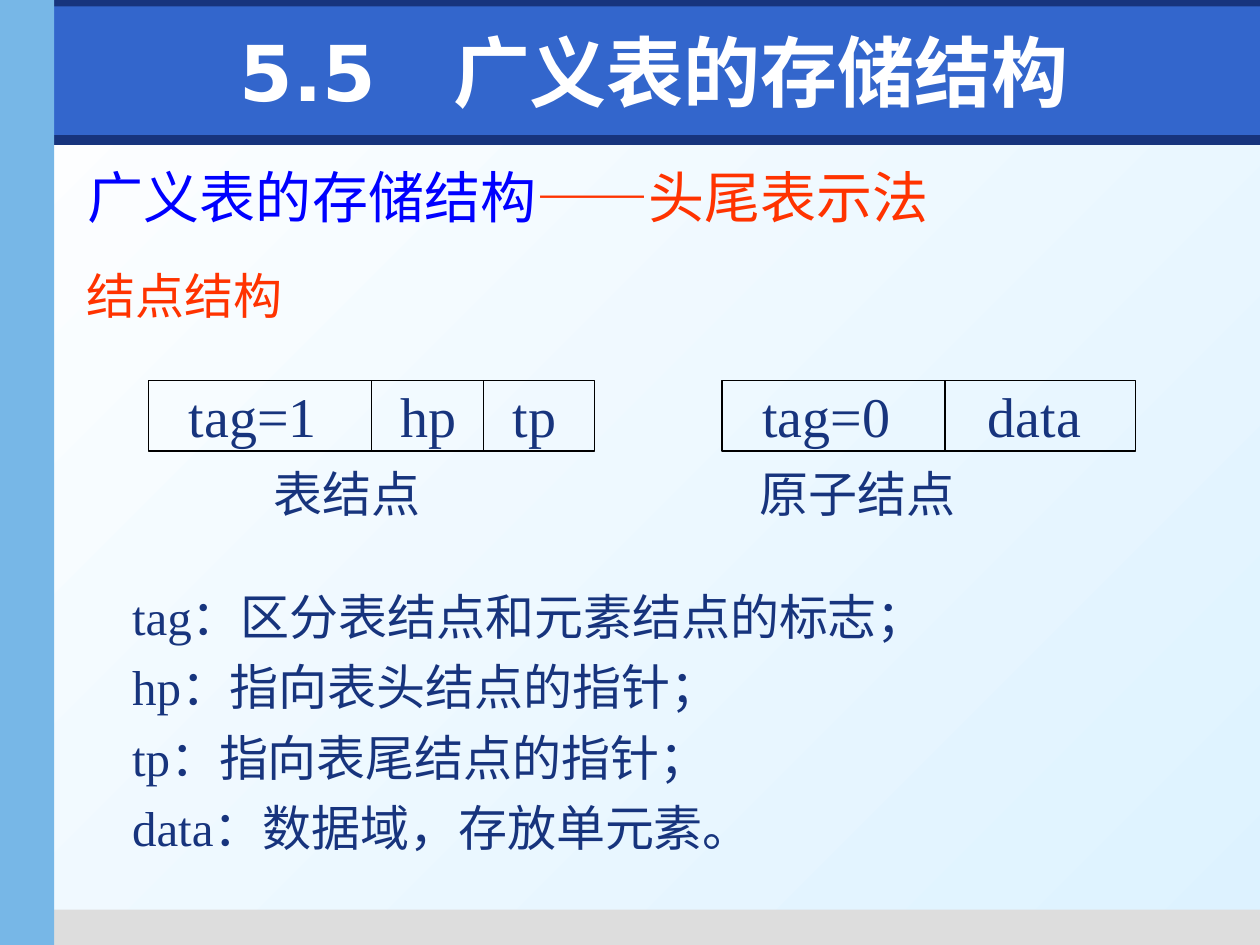
from lxml import etree
from pptx import Presentation
from pptx.dml.color import RGBColor
from pptx.enum.shapes import MSO_CONNECTOR, MSO_SHAPE
from pptx.enum.text import MSO_ANCHOR, PP_ALIGN
from pptx.oxml.ns import qn
from pptx.util import Inches, Pt

RECT = MSO_SHAPE.RECTANGLE
LINE = MSO_CONNECTOR.STRAIGHT
TOP, MIDDLE = MSO_ANCHOR.TOP, MSO_ANCHOR.MIDDLE
LEFT, CENTER = PP_ALIGN.LEFT, PP_ALIGN.CENTER

NAVY = RGBColor(0x17, 0x34, 0x7D)
ROYAL = RGBColor(0x33, 0x66, 0xCC)
SKY = RGBColor(0x77, 0xB7, 0xE7)
PALE = RGBColor(0xDD, 0xF2, 0xFF)
GRAY = RGBColor(0xDD, 0xDD, 0xDD)
BLUE = RGBColor(0x00, 0x00, 0xFF)
RED = RGBColor(0xFF, 0x33, 0x00)
WHITE = RGBColor(0xFF, 0xFF, 0xFF)
BLACK = RGBColor(0x00, 0x00, 0x00)

SERIF = "Times New Roman"
SANS = "DejaVu Sans"
HAN = "Noto Sans CJK SC"

NODE_TOP, NODE_HIGH = 3.02, 0.56


def paint_back(slide):
    fill = slide.background.fill
    fill.gradient()
    fill.gradient_angle = 315
    for stop, color, place in zip(fill.gradient_stops, (WHITE, PALE), (0, 1)):
        stop.color.rgb = color
        stop.position = place


def add_rect(slide, box):
    shape = slide.shapes.add_shape(RECT, *map(Inches, box))
    shape.shadow.inherit = False
    return shape


def add_band(slide, box, color):
    band = add_rect(slide, box)
    band.fill.solid()
    band.fill.fore_color.rgb = color
    band.line.fill.background()


def set_frame(frame, side=0.1, edge=0.05, anchor=TOP):
    frame.word_wrap = True
    frame.vertical_anchor = anchor
    frame.margin_left = Inches(side)
    frame.margin_right = Inches(0.1)
    frame.margin_top = frame.margin_bottom = Inches(edge)


def style_font(font, name, size, color, bold=False):
    font.name, font.size, font.bold = name, Pt(size), bold
    font.color.rgb = color


def add_text(slide, box, lines, name, size, color,
             align=LEFT, space=1.0, bold=False, **inset):
    frame = slide.shapes.add_textbox(*map(Inches, box)).text_frame
    set_frame(frame, **inset)
    frame.text = "\n".join(lines)
    for para in frame.paragraphs:
        para.alignment = align
        para.line_spacing = space
        for run in para.runs:
            style_font(run.font, name, size, color, bold)
    return frame


def set_tabs(para, stops):
    tabs = etree.SubElement(para._p.get_or_add_pPr(), qn("a:tabLst"))
    for stop in stops:
        etree.SubElement(tabs, qn("a:tab"), pos=str(Inches(stop)), algn="l")


def add_line(slide, x):
    line = slide.shapes.add_connector(
        LINE, Inches(x), Inches(NODE_TOP), Inches(x), Inches(NODE_TOP + NODE_HIGH))
    line.line.color.rgb = BLACK
    line.line.width = Pt(0.75)
    etree.SubElement(line._element.spPr, qn("a:effectLst"))


def add_node(slide, left, width, fields, stops, cuts):
    node = add_rect(slide, (left, NODE_TOP, width, NODE_HIGH))
    node.fill.background()
    node.line.color.rgb = BLACK
    node.line.width = Pt(0.75)
    frame = node.text_frame
    set_frame(frame, side=0.32, edge=0.01)
    para = frame.paragraphs[0]
    set_tabs(para, stops)
    para.text = "\t".join(fields)
    para.alignment = LEFT
    for run in para.runs:
        style_font(run.font, SERIF, 32, NAVY)
    for cut in cuts:
        add_line(slide, cut)


def main():
    deck = Presentation()
    deck.slide_width, deck.slide_height = Inches(10), Inches(7.5)
    slide = deck.slides.add_slide(deck.slide_layouts[6])
    paint_back(slide)

    for box, color in (
        ((0.04, 1.07, 9.96, 0.08), NAVY),
        ((0.35, 7.22, 9.65, 0.28), GRAY),
        ((0, -0.03, 10, 0.24), NAVY),
        ((0.43, 0.05, 9.57, 1.02), ROYAL),
        ((0, 0, 0.43, 7.5), SKY),
    ):
        add_band(slide, box, color)

    add_node(slide, 1.18, 3.54, ("tag=1", "hp", "tp"), (1.68, 2.57), (2.95, 3.84))
    add_node(slide, 5.73, 3.28, ("tag=0", "data"), (1.79,), (7.5,))
    names = add_text(slide, (1.2, 3.68, 7.69, 0.42), ["表结点\t原子结点"],
                     SERIF, 28, NAVY, side=0.97, edge=0)
    set_tabs(names.paragraphs[0], (3.86,))

    add_text(slide, (0.95, 4.51, 7.68, 2.34), [
        "tag：区分表结点和元素结点的标志；",
        "hp：指向表头结点的指针；",
        "tp：指向表尾结点的指针；",
        "data：数据域，存放单元素。",
    ], SERIF, 28, NAVY, space=1.2)

    head = add_text(slide, (0.6, 1.24, 8.33, 0.63), ["广义表的存储结构"], HAN, 32, BLUE)
    method = head.paragraphs[0].add_run()
    method.text = "——头尾表示法"
    style_font(method.font, HAN, 32, RED)

    add_text(slide, (0.59, 2.06, 1.9, 0.57), ["结点结构"], HAN, 28, RED)
    add_text(slide, (0.59, 0.13, 9.21, 0.87), ["5.5　广义表的存储结构"],
             SANS, 44, WHITE, align=CENTER, bold=True, anchor=MIDDLE)
    deck.save("out.pptx")


if __name__ == "__main__":
    main()
